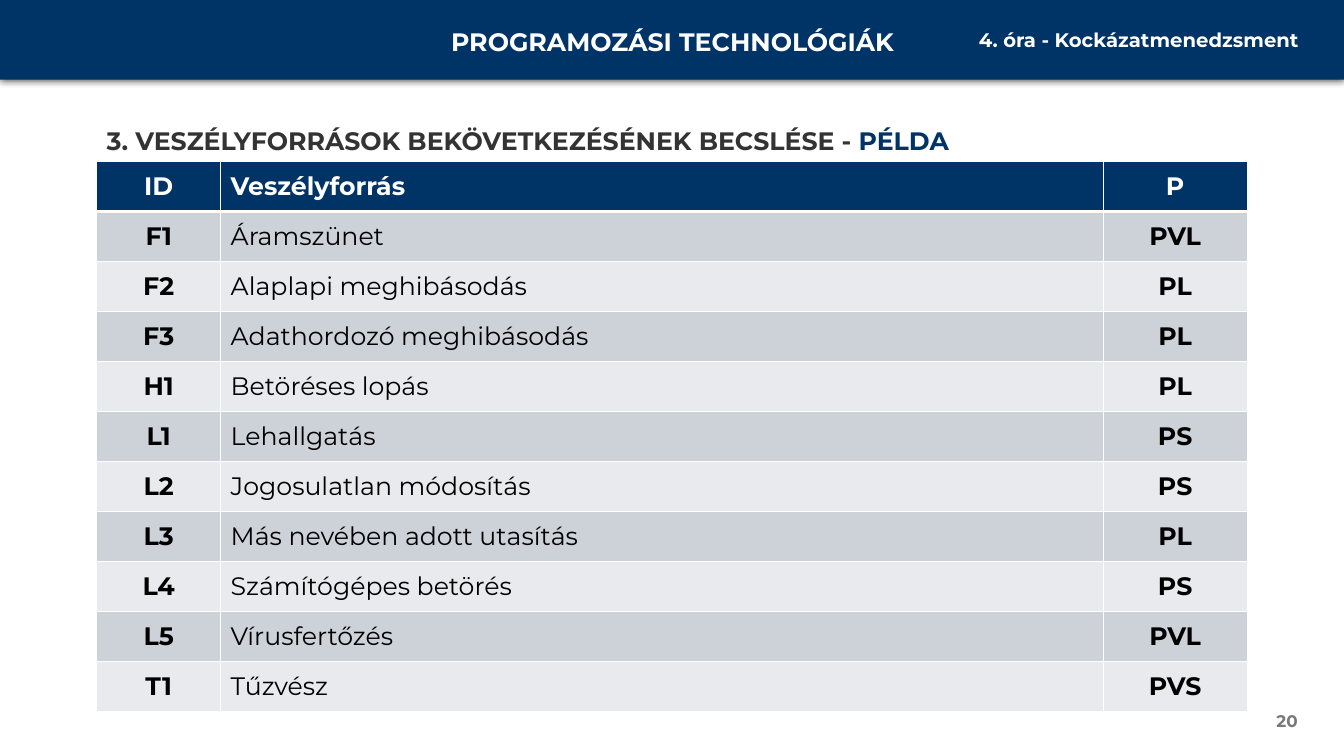
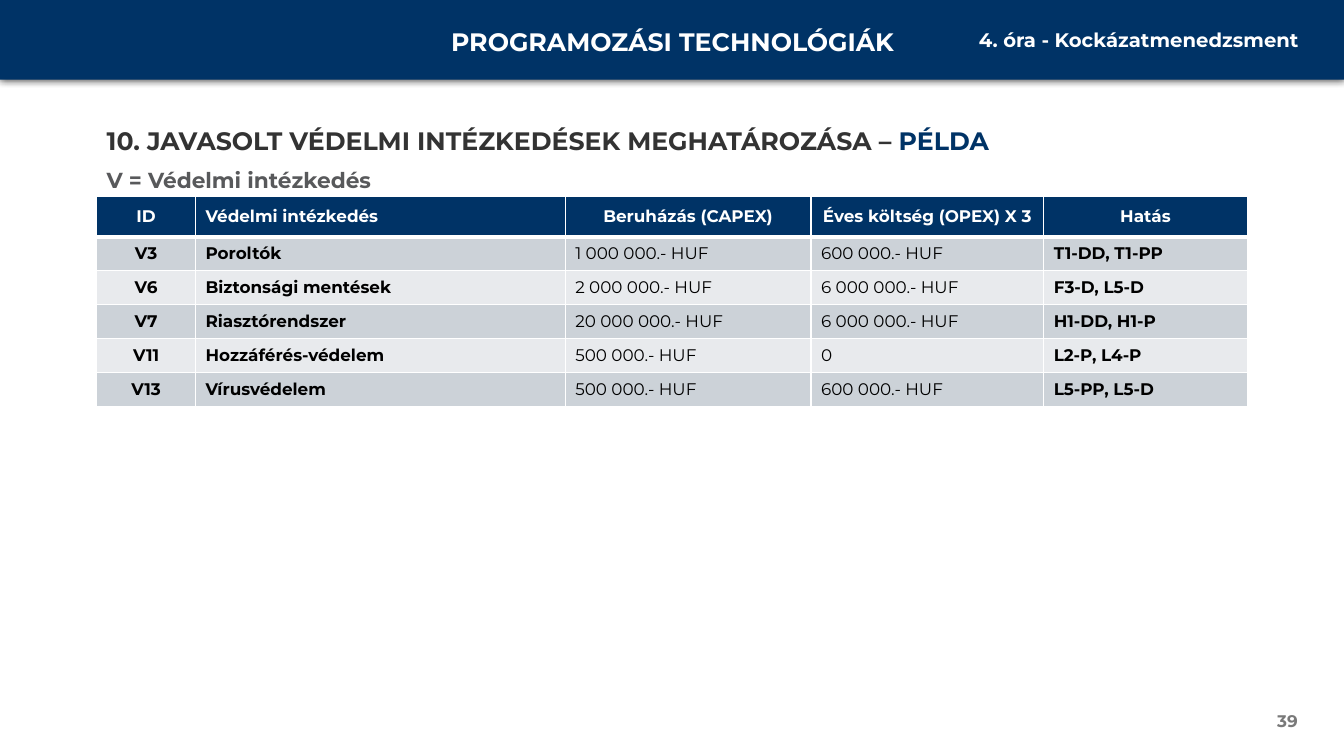
from dataclasses import dataclass

from lxml import etree
from pptx import Presentation
from pptx import util as u
from pptx.dml.color import RGBColor
from pptx.enum import shapes, text
from pptx.oxml import ns

LEFT, CENTER, RIGHT = text.PP_ALIGN.LEFT, text.PP_ALIGN.CENTER, text.PP_ALIGN.RIGHT
MIDDLE = text.MSO_ANCHOR.MIDDLE


@dataclass(frozen=True)
class Theme:
    """Colours, font and type sizes shared by the slides."""
    font: str = "Montserrat"
    navy: str = "003366"
    white: str = "FFFFFF"
    black: str = "000000"
    heading: str = "333333"
    note: str = "58595B"
    number: str = "797979"
    stripes: tuple = ("CCD2D8", "E8EAED")
    large: float = 18
    medium: float = 15.5
    lesson: float = 14
    small: float = 12
    thin: float = 1
    thick: float = 3


THEME = Theme()


@dataclass(frozen=True)
class Box:
    """A rectangle in inches."""
    left: float
    top: float
    width: float
    height: float

    def inner(self, left, top, width, height):
        """Return an inner box given in percent of this one."""
        return Box(self.left + self.width * left / 100, self.top + self.height * top / 100,
                   self.width * width / 100, self.height * height / 100)

    def lengths(self):
        """Return left, top, width and height as slide lengths."""
        return [u.Inches(value) for value in (self.left, self.top, self.width, self.height)]


@dataclass(frozen=True)
class Column:
    """A table column: title, relative width, alignments and weight."""
    title: str
    weight: float
    title_align: int = LEFT
    align: int = LEFT
    bold: bool = True


PAGE = Box(0, 0, 13.33, 7.5)
BAND = PAGE.inner(0, 0, 100, 10.53)
CONTENT = PAGE.inner(7.2, 15.87, 85.6, 78.27)
NUMBER = PAGE.inner(74.8, 92.67, 22.5, 5.33)


def add_run(paragraph, words, size, color, bold=True):
    """Add one formatted run."""
    run = paragraph.add_run()
    run.text = words
    run.font.name = THEME.font
    run.font.size = u.Pt(size)
    run.font.bold = bold
    run.font.color.rgb = RGBColor.from_string(color)


def add_text(slide, box, runs, size, align=LEFT, grow=True):
    """Add a one-paragraph text box from (words, colour) runs."""
    frame = slide.shapes.add_textbox(*box.lengths()).text_frame
    frame.word_wrap = True
    frame.auto_size = text.MSO_AUTO_SIZE.SHAPE_TO_FIT_TEXT if grow else text.MSO_AUTO_SIZE.NONE
    paragraph = frame.paragraphs[0]
    paragraph.alignment = align
    for words, color in runs:
        add_run(paragraph, words, size, color)
    return frame


def add_shadow(shape):
    """Give a shape a soft dark shadow."""
    shape.shadow.inherit = False
    effects = shape._element.spPr.find(ns.qn("a:effectLst"))
    shadow = etree.SubElement(effects, ns.qn("a:outerShdw"), blurRad=str(u.Pt(6)),
                              dist="0", dir="5400000", rotWithShape="0")
    color = etree.SubElement(shadow, ns.qn("a:srgbClr"), val=THEME.black)
    etree.SubElement(color, ns.qn("a:alpha"), val="80000")


def add_band(slide, box):
    """Draw the top band with course and lesson titles."""
    band = slide.shapes.add_shape(shapes.MSO_SHAPE.RECTANGLE, *box.lengths())
    band.fill.solid()
    band.fill.fore_color.rgb = RGBColor.from_string(THEME.navy)
    band.line.fill.background()
    add_shadow(band)
    add_text(slide, box.inner(30.46, 26.6, 39.16, 50.6),
             [("PROGRAMOZÁSI TECHNOLÓGIÁK", THEME.white)], THEME.large, CENTER)
    add_text(slide, box.inner(70.29, 29.1, 27.08, 43),
             [("4. óra - Kockázatmenedzsment", THEME.white)], THEME.lesson, RIGHT)


def add_page_number(slide, box, number):
    """Place the page number at the right of its box."""
    frame = add_text(slide, box, [(str(number), THEME.number)], THEME.small, RIGHT, grow=False)
    frame.vertical_anchor = MIDDLE


def add_borders(cell, top, bottom):
    """Draw white cell borders with the given top and bottom widths."""
    properties = cell._tc.get_or_add_tcPr()
    widths = {"lnL": THEME.thin, "lnR": THEME.thin, "lnT": top, "lnB": bottom}
    for index, (side, width) in enumerate(widths.items()):
        line = etree.Element(ns.qn(f"a:{side}"), w=str(u.Pt(width)))
        fill = etree.SubElement(line, ns.qn("a:solidFill"))
        etree.SubElement(fill, ns.qn("a:srgbClr"), val=THEME.white)
        properties.insert(index, line)


def fill_cell(cell, words, size, color, fill, align, bold, row):
    """Write and format one table cell."""
    cell.fill.solid()
    cell.fill.fore_color.rgb = RGBColor.from_string(fill)
    cell.vertical_anchor = MIDDLE
    add_borders(cell, THEME.thick if row == 1 else THEME.thin,
                THEME.thick if row == 0 else THEME.thin)
    paragraph = cell.text_frame.paragraphs[0]
    paragraph.alignment = align
    add_run(paragraph, words, size, color, bold)


def add_grid(slide, box, columns, rows, size, header_share):
    """Fill a box with a striped table whose header takes a percent share."""
    table = slide.shapes.add_table(len(rows) + 1, len(columns), *box.lengths()).table
    table.horz_banding = False
    total = sum(column.weight for column in columns)
    header_height = box.height * header_share / 100
    row_height = (box.height - header_height) / len(rows)
    for index, row in enumerate(table.rows):
        row.height = u.Inches(row_height if index else header_height)
    for index, column in enumerate(columns):
        table.columns[index].width = u.Inches(box.width * column.weight / total)
        fill_cell(table.cell(0, index), column.title, size, THEME.white, THEME.navy,
                  column.title_align, True, 0)
        for number, values in enumerate(rows, 1):
            fill_cell(table.cell(number, index), values[index], size, THEME.black,
                      THEME.stripes[(number - 1) % 2], column.align, column.bold, number)


def add_example_slide(presentation, number, heading):
    """Add a slide with band, page number and example heading."""
    slide = presentation.slides.add_slide(presentation.slide_layouts[6])
    add_band(slide, BAND)
    add_text(slide, CONTENT.inner(0, 0, 100, 6.8),
             [(heading, THEME.heading), ("PÉLDA", THEME.navy)], THEME.large)
    add_page_number(slide, NUMBER, number)
    return slide


def add_hazard_slide(presentation):
    """Add the slide that estimates the likelihood of hazards."""
    slide = add_example_slide(presentation, 20,
                              "3. VESZÉLYFORRÁSOK BEKÖVETKEZÉSÉNEK BECSLÉSE - ")
    columns = [Column("ID", 1.23, CENTER, CENTER),
               Column("Veszélyforrás", 8.76, bold=False),
               Column("P", 1.43, CENTER, CENTER)]
    rows = [("F1", "Áramszünet", "PVL"),
            ("F2", "Alaplapi meghibásodás", "PL"),
            ("F3", "Adathordozó meghibásodás", "PL"),
            ("H1", "Betöréses lopás", "PL"),
            ("L1", "Lehallgatás", "PS"),
            ("L2", "Jogosulatlan módosítás", "PS"),
            ("L3", "Más nevében adott utasítás", "PL"),
            ("L4", "Számítógépes betörés", "PS"),
            ("L5", "Vírusfertőzés", "PVL"),
            ("T1", "Tűzvész", "PVS")]
    add_grid(slide, CONTENT.inner(0, 7, 100, 93), columns, rows, THEME.large, 100 / 11)


def add_measure_slide(presentation):
    """Add the slide that lists the proposed protective measures."""
    slide = add_example_slide(presentation, 39,
                              "10. JAVASOLT VÉDELMI INTÉZKEDÉSEK MEGHATÁROZÁSA – ")
    note = add_text(slide, CONTENT.inner(0, 7, 100, 87.4),
                    [("V = Védelmi intézkedés", THEME.note)], THEME.medium, grow=False)
    note.paragraphs[0].space_after = u.Pt(2)
    columns = [Column("ID", 0.98, CENTER, CENTER),
               Column("Védelmi intézkedés", 3.67),
               Column("Beruházás (CAPEX)", 2.44, CENTER, bold=False),
               Column("Éves költség (OPEX) X 3", 2.31, CENTER, bold=False),
               Column("Hatás", 2.02, CENTER)]
    rows = [("V3", "Poroltók", "1 000 000.- HUF", "600 000.- HUF", "T1-DD, T1-PP"),
            ("V6", "Biztonsági mentések", "2 000 000.- HUF", "6 000 000.- HUF", "F3-D, L5-D"),
            ("V7", "Riasztórendszer", "20 000 000.- HUF", "6 000 000.- HUF", "H1-DD, H1-P"),
            ("V11", "Hozzáférés-védelem", "500 000.- HUF", "0", "L2-P, L4-P"),
            ("V13", "Vírusvédelem", "500 000.- HUF", "600 000.- HUF", "L5-PP, L5-D")]
    add_grid(slide, CONTENT.inner(0, 12.95, 100, 35.43), columns, rows, THEME.small, 19.2)


def main():
    """Build and save the presentation."""
    presentation = Presentation()
    presentation.slide_width = u.Inches(PAGE.width)
    presentation.slide_height = u.Inches(PAGE.height)
    add_hazard_slide(presentation)
    add_measure_slide(presentation)
    presentation.save("out.pptx")


if __name__ == "__main__":
    main()
